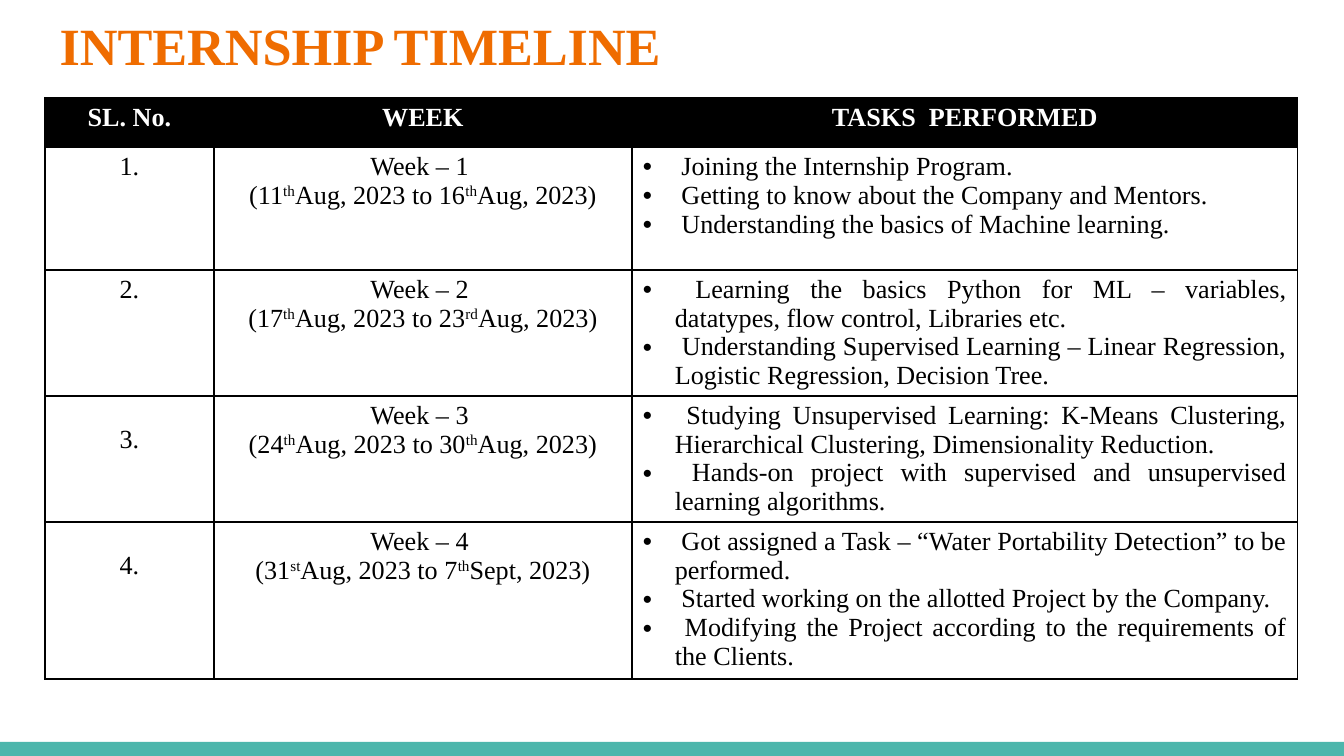
import pptx
import pptx.dml.color
import pptx.enum.shapes
import pptx.enum.text
import pptx.oxml.ns
import pptx.util
from lxml import etree

PX = 9144000 / 1344
COLORS = {"orange": "EF6C00", "teal": "4DB6AC", "black": "000000", "white": "FFFFFF"}
FONT = "Times New Roman"
ALIGN = pptx.enum.text.PP_ALIGN
qn = pptx.oxml.ns.qn


def px(length):
    return pptx.util.Emu(round(length * PX))


def set_font(para, size, color, bold=False):
    para.font.name = FONT
    para.font.size = pptx.util.Pt(size)
    para.font.bold = bold
    para.font.color.rgb = pptx.dml.color.RGBColor.from_string(COLORS[color])


column_widths = [169, 418, 666]
row_heights = [49, 123, 126, 126, 157]
headings = ["SL. No.", "WEEK", "TASKS  PERFORMED"]
# Text between carets is superscript.
weeks = [
    ("(11^th^Aug, 2023 to 16^th^Aug, 2023)", [
        "Joining the Internship Program.",
        "Getting to know about the Company and Mentors.",
        "Understanding the basics of Machine learning."]),
    ("(17^th^Aug, 2023 to 23^rd^Aug, 2023)", [
        "Learning the basics Python for ML – variables, datatypes, flow control, Libraries etc. ",
        "Understanding Supervised Learning – Linear Regression, Logistic Regression, Decision Tree."]),
    ("(24^th^Aug, 2023 to 30^th^Aug, 2023)", [
        "Studying Unsupervised Learning: K-Means Clustering, Hierarchical Clustering, "
        "Dimensionality Reduction.",
        "Hands-on project with supervised and unsupervised learning algorithms."]),
    ("(31^st^Aug, 2023 to 7^th^Sept, 2023)", [
        "Got assigned a Task – “Water Portability Detection” to be performed. ",
        "Started working on the allotted Project by the Company.",
        "Modifying the Project according to the requirements of the Clients."]),
]
rows = [[[heading] for heading in headings]]
for number, (dates, tasks) in enumerate(weeks, 1):
    rows.append([[f"{number}."], [f"Week – {number} ", dates], [f" {task}" for task in tasks]])

deck = pptx.Presentation()
deck.slide_width, deck.slide_height = px(1344), px(756)
page = deck.slides.add_slide(deck.slide_layouts[5])

title = page.shapes.title
title.left, title.top, title.width, title.height = px(16), px(0), px(688), px(202)
frame = title.text_frame
frame.text = "INTERNSHIP TIMELINE"
frame.vertical_anchor = pptx.enum.text.MSO_ANCHOR.TOP
frame.margin_left = frame.margin_right = frame.margin_top = frame.margin_bottom = px(13)
frame.paragraphs[0].alignment = ALIGN.CENTER
set_font(frame.paragraphs[0], 28, "orange", bold=True)

footer_bar = page.shapes.add_shape(
    pptx.enum.shapes.MSO_SHAPE.RECTANGLE, px(0), px(742), px(1344), px(14))
footer_bar.shadow.inherit = False
footer_bar.fill.solid()
footer_bar.fill.fore_color.rgb = pptx.dml.color.RGBColor.from_string(COLORS["teal"])
footer_bar.line.fill.background()

table = page.shapes.add_table(
    len(rows), len(headings), px(45), px(98), px(sum(column_widths)), px(sum(row_heights))).table
table.first_row = table.horz_banding = False
for column, width in zip(table.columns, column_widths):
    column.width = px(width)
for row, height in zip(table.rows, row_heights):
    row.height = px(height)

for row_index, row in enumerate(rows):
    for column_index, lines in enumerate(row):
        cell = table.cell(row_index, column_index)
        is_header = row_index == 0
        is_task_list = column_index == 2 and not is_header
        cell.margin_left = cell.margin_right = px(11)
        # The last two numbers sit one small line lower.
        cell.margin_top = px(29 if column_index == 0 and row_index >= 3 else 5)
        cell.margin_bottom = px(5)

        properties = cell._tc.get_or_add_tcPr()
        inner_sides = {"lnL": column_index > 0, "lnR": column_index < 2}
        for side in ("lnL", "lnR", "lnT", "lnB"):
            width = pptx.util.Pt(1 if inner_sides.get(side) else 0.75)
            border = etree.SubElement(properties, qn(f"a:{side}"), w=str(width))
            fill = etree.SubElement(border, qn("a:solidFill"))
            etree.SubElement(fill, qn("a:srgbClr"), val=COLORS["black"])
        cell.fill.solid()
        cell.fill.fore_color.rgb = pptx.dml.color.RGBColor.from_string(
            COLORS["black" if is_header else "white"])

        frame = cell.text_frame
        for line_index, line in enumerate(lines):
            para = frame.add_paragraph() if line_index else frame.paragraphs[0]
            para.alignment = ALIGN.JUSTIFY if is_task_list else ALIGN.CENTER
            if is_task_list:
                layout = para._p.get_or_add_pPr()
                layout.set("marL", str(px(32)))
                layout.set("indent", str(px(-32)))
                bullet_color = etree.SubElement(layout, qn("a:buClr"))
                etree.SubElement(bullet_color, qn("a:srgbClr"), val=COLORS["black"])
                etree.SubElement(layout, qn("a:buFont"), typeface="Arial")
                etree.SubElement(layout, qn("a:buChar"), char="•")
            set_font(para, 14, "white" if is_header else "black", bold=is_header)
            for part_index, part in enumerate(line.split("^")):
                span = para.add_run()
                span.text = part
                if part_index % 2:
                    span._r.get_or_add_rPr().set("baseline", "30000")

deck.save("out.pptx")
